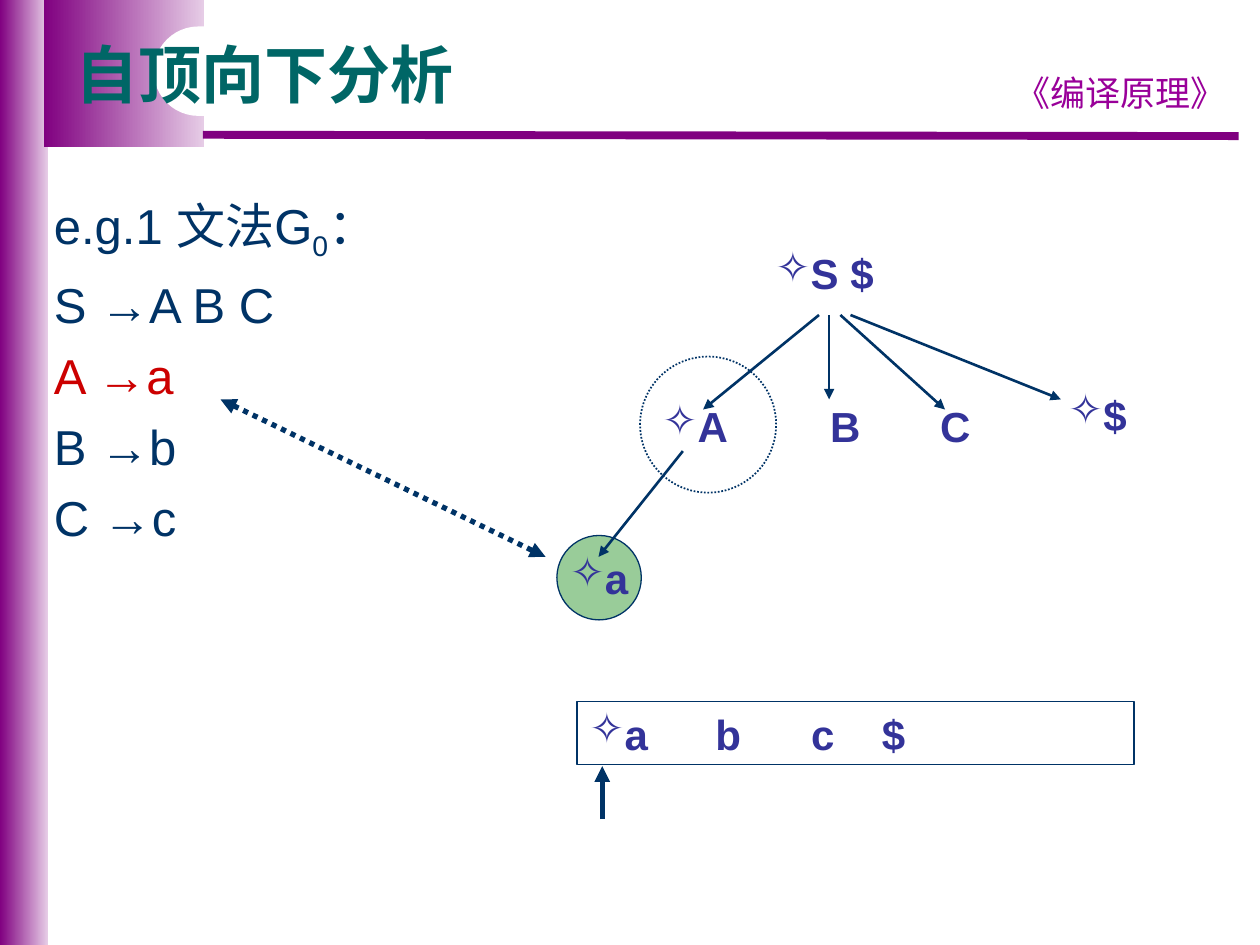
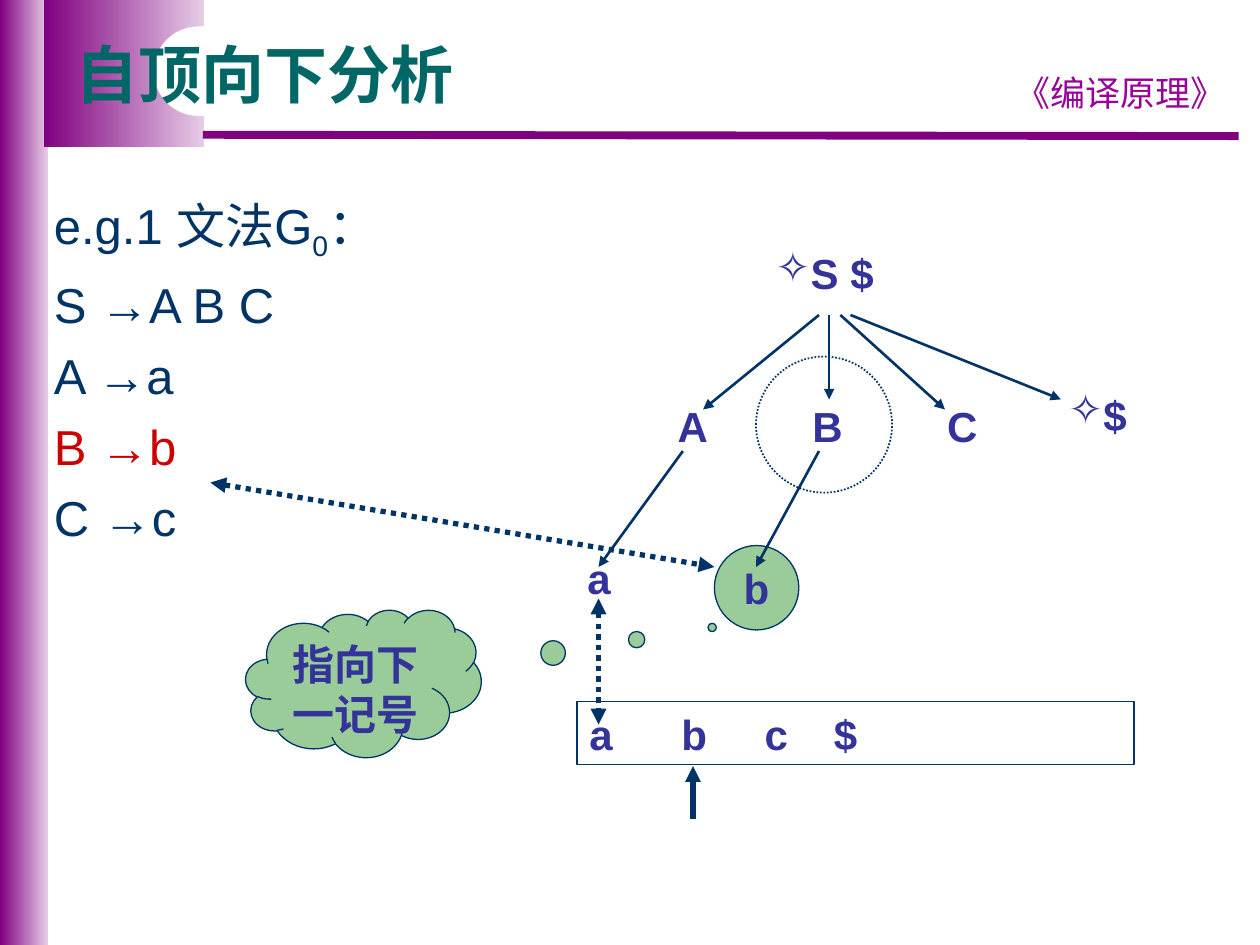
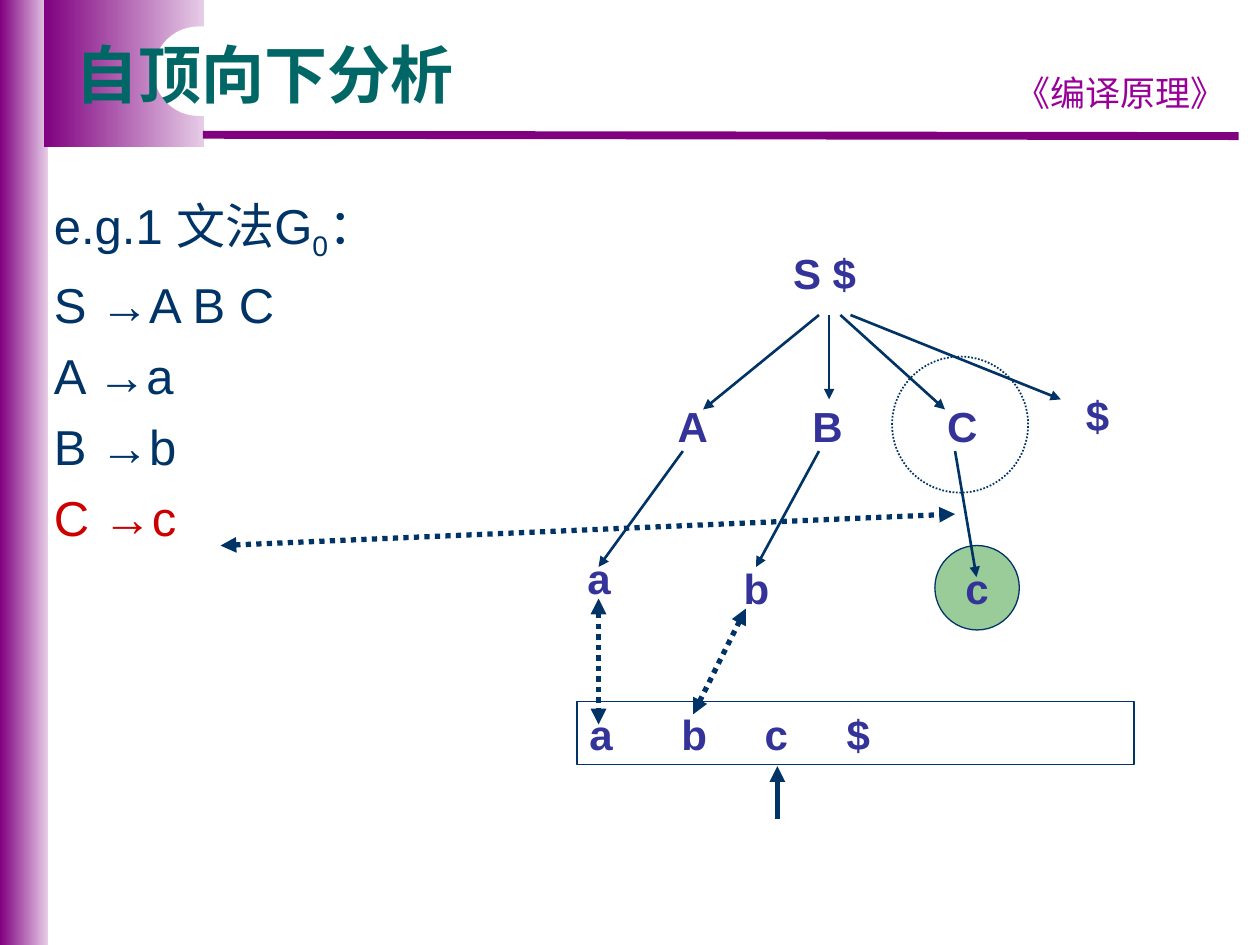
from dataclasses import dataclass

from lxml import etree
from pptx import Presentation
from pptx import util as u
from pptx.dml.color import RGBColor
from pptx.enum import dml, shapes, text
from pptx.oxml import ns

SHAPE = shapes.MSO_SHAPE


@dataclass(frozen=True)
class Theme:
    band: str = "800080"
    band_end: str = "E6CCE6"
    white: str = "FFFFFF"
    course: str = "990099"
    title: str = "006666"
    ink: str = "003366"
    symbol: str = "333399"
    match: str = "99CC99"
    active: str = "CC0000"
    font: str = "Arial"
    course_font: str = "Comic Neue"
    title_size: int = 36
    body_size: int = 28
    symbol_size: int = 24
    course_size: int = 20
    bullet: str = "✧"


T = Theme()


@dataclass(frozen=True)
class Box:
    x: float
    y: float
    w: float
    h: float

    def lengths(self) -> tuple:
        return tuple(u.Inches(v) for v in (self.x, self.y, self.w, self.h))


@dataclass(frozen=True)
class Node:
    label: str
    box: Box
    bullet: bool = False
    matched: bool = False


@dataclass(frozen=True)
class Arrow:
    x1: float
    y1: float
    x2: float
    y2: float
    width: float = 1.5
    dotted: bool = False


@dataclass(frozen=True)
class Step:
    rule: str
    circle_x: float
    row_x: float
    row_tabs: tuple
    tape_tabs: tuple
    pointer_x: float
    leaves: tuple
    arrows: tuple
    starred: str = ""
    cloud: bool = False


TITLE = "自顶向下分析"
RULES = ("S →A B C", "A →a", "B →b", "C →c")
BRANCHES = (
    Arrow(6.5, 2.5, 5.58, 3.25),
    Arrow(6.58, 2.5, 6.58, 3.17),
    Arrow(6.67, 2.5, 7.5, 3.25),
    Arrow(6.75, 2.5, 8.42, 3.17),
)
A_TO_LEAF = Arrow(5.42, 3.58, 4.75, 4.5)
B_TO_LEAF = Arrow(6.5, 3.58, 6, 4.5)
A_TO_TAPE = Arrow(4.75, 4.75, 4.75, 5.75, 3, True)


def leaf(label: str, x: float, y: float, bullet: bool = False, matched: bool = False) -> Node:
    return Node(label, Box(x, y, 0.67, 0.67), bullet, matched)


STEPS = (
    Step("A →a", 5.08, 5.16, (1.45, 2.53), (1.0, 1.76, 2.32), 4.78,
         (leaf("a", 4.42, 4.25, bullet=True, matched=True),),
         (Arrow(5.42, 3.58, 4.75, 4.42), Arrow(1.75, 3.17, 4.33, 4.42, 3, True)),
         starred="tape row S $"),
    Step("B →b", 6, 5.28, (1.19, 2.26), (0.73, 1.39, 1.94), 5.5,
         (leaf("a", 4.42, 4.25), leaf("b", 5.67, 4.33, matched=True)),
         (A_TO_LEAF, B_TO_LEAF, A_TO_TAPE, Arrow(1.67, 3.83, 5.67, 4.5, 3, True)),
         starred="S $", cloud=True),
    Step("C →c", 7.08, 5.28, (1.19, 2.26), (0.73, 1.39, 2.04), 6.17,
         (leaf("a", 4.42, 4.25), leaf("b", 5.67, 4.33), leaf("c", 7.42, 4.33, matched=True)),
         (A_TO_LEAF, B_TO_LEAF, Arrow(7.58, 3.58, 7.75, 4.58), A_TO_TAPE,
          Arrow(5.5, 5.67, 5.92, 4.83, 3, True), Arrow(1.75, 4.33, 7.58, 4.08, 3, True))),
)


def rgb(color: str) -> RGBColor:
    return RGBColor.from_string(color)


def child(parent, tag: str, **attrs):
    return etree.SubElement(parent, ns.qn(tag), attrs)


def set_font(p, size: int, color: str, bold: bool = False, name: str = T.font) -> None:
    f = p.font
    f.size, f.bold, f.name = u.Pt(size), bold, name
    f.color.rgb = rgb(color)


def add_shape(s, kind, box: Box, fill: str = "", line: float = 0):
    sp = s.shapes.add_shape(kind, *box.lengths())
    sp.shadow.inherit = False
    if fill:
        sp.fill.solid()
        sp.fill.fore_color.rgb = rgb(fill)
    else:
        sp.fill.background()
    if line:
        sp.line.color.rgb = rgb(T.ink)
        sp.line.width = u.Pt(line)
    else:
        sp.line.fill.background()
    return sp


def write_symbols(sp, label: str, bullet: bool = False, tabs: tuple = (), tab_align: str = "l",
                  align=text.PP_ALIGN.CENTER, anchor=text.MSO_ANCHOR.MIDDLE, wrap: bool = False) -> None:
    tf = sp.text_frame
    tf.word_wrap, tf.vertical_anchor = wrap, anchor
    p = tf.paragraphs[0]
    p.text, p.alignment = label, align
    pPr = p._p.get_or_add_pPr()
    if bullet:
        child(child(pPr, "a:buClr"), "a:srgbClr", val=T.symbol)
        child(pPr, "a:buChar", char=T.bullet)
    if tabs:
        stops = child(pPr, "a:tabLst")
        for tab in tabs:
            child(stops, "a:tab", pos=str(u.Inches(tab)), algn=tab_align)
    set_font(p, T.symbol_size, T.symbol, True)


def add_line(s, a: Arrow, color: str = T.ink, arrow: bool = True):
    c = s.shapes.add_connector(shapes.MSO_CONNECTOR.STRAIGHT,
                               *(u.Inches(v) for v in (a.x1, a.y1, a.x2, a.y2)))
    c.line.color.rgb = rgb(color)
    c.line.width = u.Pt(a.width)
    if a.dotted:
        c.line.dash_style = dml.MSO_LINE.ROUND_DOT
    ln = c.line._get_or_add_ln()
    if a.dotted:
        child(ln, "a:headEnd", type="triangle")
    if arrow:
        child(ln, "a:tailEnd", type="triangle")
    child(c.element.spPr, "a:effectLst")
    return c


def add_band(s, box: Box):
    sp = add_shape(s, SHAPE.RECTANGLE, box)
    sp.fill.gradient()
    sp.fill.gradient_angle = 0
    for stop, color in zip(sp.fill.gradient_stops, (T.band, T.band_end)):
        stop.color.rgb = rgb(color)
    return sp


def add_course(s):
    sp = s.shapes.add_textbox(*Box(7.91, 0.52, 1.97, 0.44).lengths())
    sp.text_frame.word_wrap = True
    p = sp.text_frame.paragraphs[0]
    p.text, p.alignment = "《编译原理》", text.PP_ALIGN.CENTER
    set_font(p, T.course_size, T.course, name=T.course_font)
    return sp


def add_pill(s):
    sp = add_shape(s, SHAPE.ROUNDED_RECTANGLE, Box(1.22, 0.21, 3.62, 0.71), T.white)
    sp.adjustments[0] = 0.5
    return sp


def frame_layout(layout, s) -> None:
    for sp in list(layout.placeholders):
        if sp.placeholder_format.type != shapes.PP_PLACEHOLDER.TITLE:
            sp.element.getparent().remove(sp.element)
    frame = (
        add_band(s, Box(0, 0, 0.38, 7.5)),
        add_band(s, Box(0.35, 0, 1.27, 1.17)),
        add_line(s, Arrow(1.61, 1.07, 9.83, 1.08, 4.5), T.band, arrow=False),
        add_course(s),
        add_pill(s),
    )
    for sp in frame:
        layout.shapes.element.append(sp.element)


def set_title(s) -> None:
    sp = s.shapes.title
    sp.left, sp.top, sp.width, sp.height = Box(0.5, 0.3, 9, 0.92).lengths()
    tf = sp.text_frame
    tf.auto_size, tf.vertical_anchor = text.MSO_AUTO_SIZE.NONE, text.MSO_ANCHOR.TOP
    p = tf.paragraphs[0]
    p.text, p.alignment, p.line_spacing = TITLE, text.PP_ALIGN.LEFT, 0.9
    set_font(p, T.title_size, T.title, True)


def add_grammar(s, active: str) -> None:
    tf = s.shapes.add_textbox(*Box(0.33, 1.5, 3.75, 3.25).lengths()).text_frame
    tf.word_wrap = True
    p = tf.paragraphs[0]
    for part in ("e.g.1 文法G", "0", "："):
        r = p.add_run()
        r.text = part
        if part == "0":
            r._r.get_or_add_rPr().set("baseline", "-25000")
    set_font(p, T.body_size, T.ink)
    for rule in RULES:
        p = tf.add_paragraph()
        p.text, p.space_before = rule, u.Pt(7)
        set_font(p, T.body_size, T.active if rule == active else T.ink)


def add_node(s, n: Node) -> None:
    sp = add_shape(s, SHAPE.OVAL, n.box, T.match if n.matched else "", 0.75 if n.matched else 0)
    write_symbols(sp, n.label, n.bullet)


def add_tree(s, step: Step) -> None:
    circle = add_shape(s, SHAPE.OVAL, Box(step.circle_x, 2.83, 1.08, 1.08), line=1)
    circle.line.dash_style = dml.MSO_LINE.ROUND_DOT
    starred = "$" in step.starred
    row = s.shapes.add_textbox(*Box(step.row_x, 3, 2.8, 0.75).lengths())
    write_symbols(row, "A\tB\tC", "row" in step.starred, step.row_tabs, "ctr",
                  text.PP_ALIGN.LEFT, wrap=True)
    roots = (Node("S $", Box(6.17, 1.83, 0.75, 0.67), starred),
             Node("$", Box(8.42, 3, 0.58, 0.58), starred))
    for n in roots + step.leaves:
        add_node(s, n)


def add_tape(s, step: Step) -> None:
    sp = add_shape(s, SHAPE.RECTANGLE, Box(4.58, 5.57, 4.42, 0.5), line=0.75)
    write_symbols(sp, "a\tb\tc\t$", "tape" in step.starred, step.tape_tabs,
                  align=text.PP_ALIGN.LEFT, wrap=True)


def add_cloud(s) -> None:
    sp = add_shape(s, SHAPE.CLOUD_CALLOUT, Box(1.95, 4.84, 1.87, 1.17), T.match, 0.75)
    sp.adjustments[0], sp.adjustments[1] = 1.48, -0.38
    write_symbols(sp, "指向下一记号", anchor=text.MSO_ANCHOR.TOP, wrap=True)


def add_step(s, step: Step) -> None:
    set_title(s)
    add_grammar(s, step.rule)
    add_tape(s, step)
    add_tree(s, step)
    pointer = Arrow(step.pointer_x, 6.5, step.pointer_x, 6.08, 3)
    for a in BRANCHES + step.arrows + (pointer,):
        add_line(s, a)
    if step.cloud:
        add_cloud(s)


def main() -> None:
    prs = Presentation()
    prs.slide_width, prs.slide_height = u.Inches(10), u.Inches(7.5)
    layout = prs.slide_layouts[5]
    for i, step in enumerate(STEPS):
        s = prs.slides.add_slide(layout)
        if i == 0:
            frame_layout(layout, s)
        add_step(s, step)
    prs.save("out.pptx")


if __name__ == "__main__":
    main()
